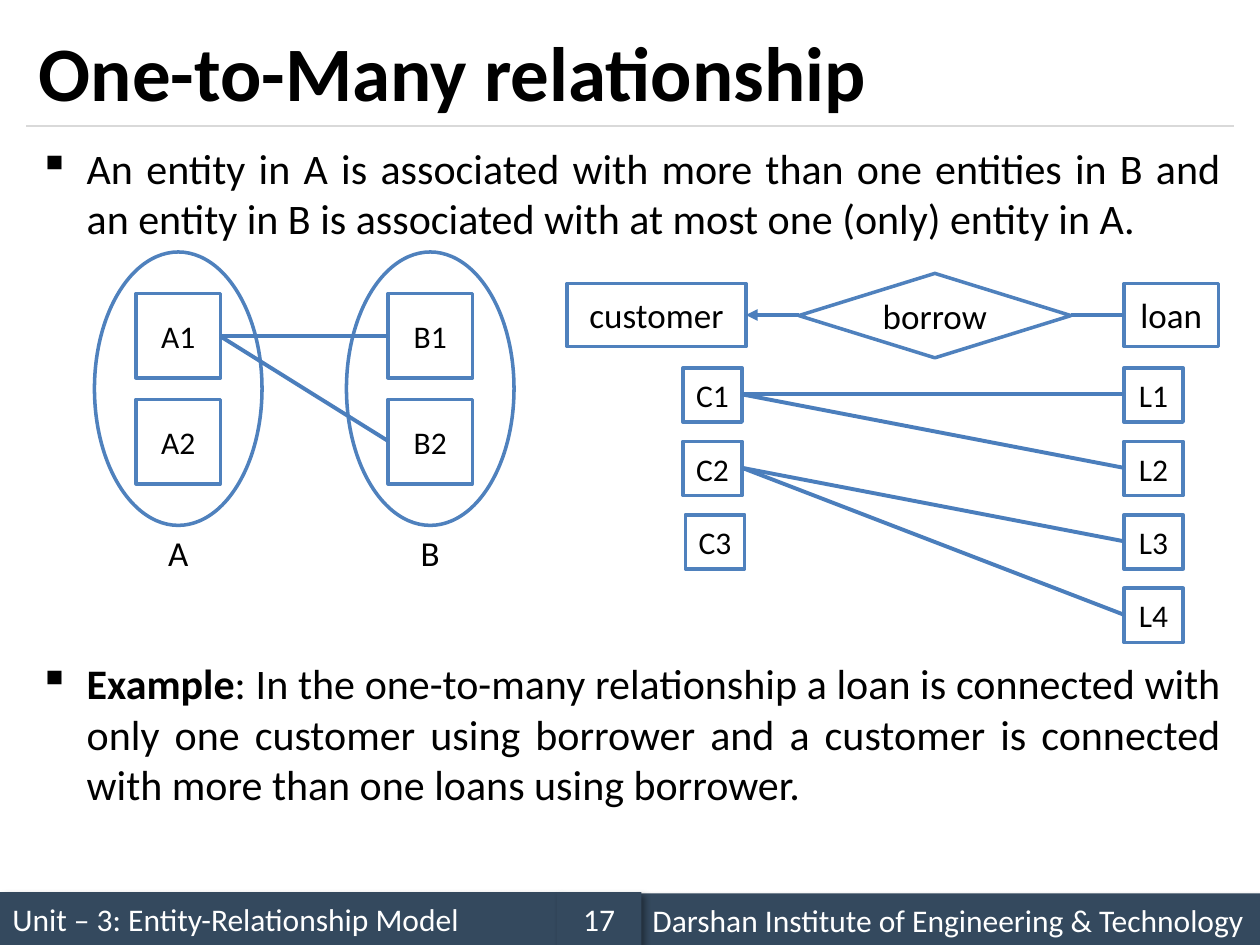
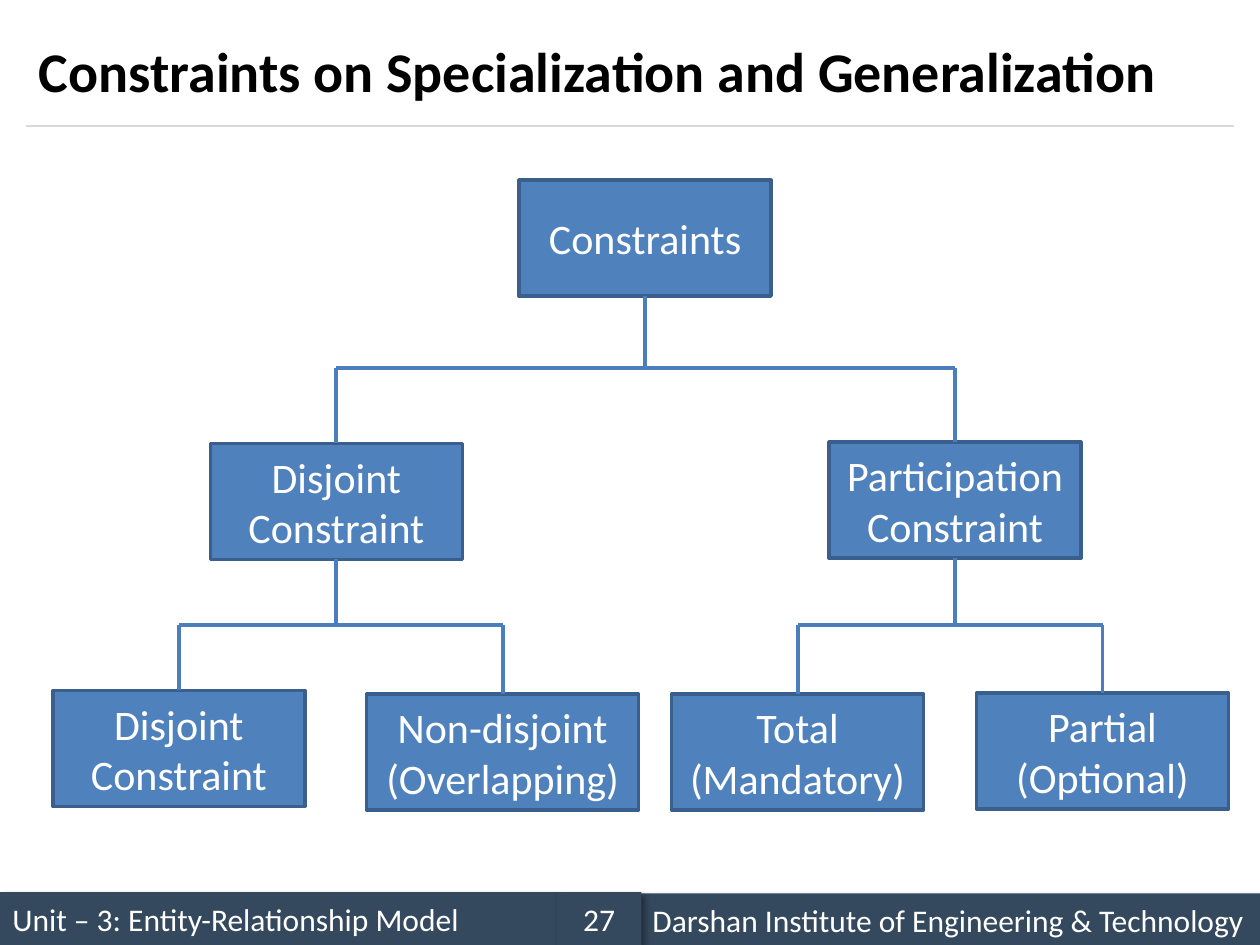
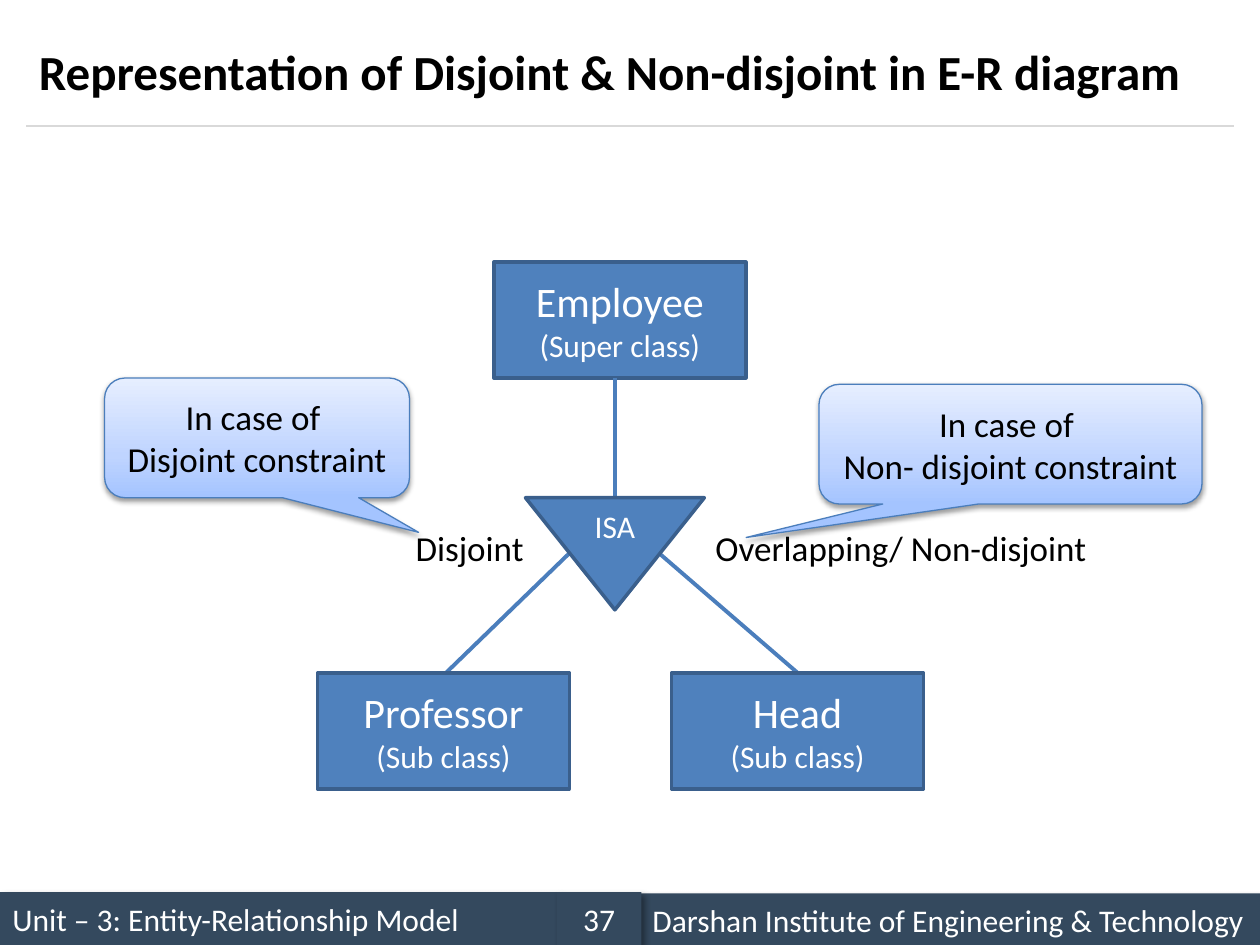
from lxml import etree
from pptx import Presentation
from pptx.dml.color import RGBColor
from pptx.enum import shapes, text
from pptx.oxml import ns
from pptx.util import Inches, Pt

FONT = "Calibri"
BLACK = RGBColor(0, 0, 0)
WHITE = RGBColor(255, 255, 255)
NAVY = RGBColor(0x34, 0x49, 0x5E)
RULE_GREY = RGBColor(0xD9, 0xD9, 0xD9)
BLUE = RGBColor(0x4F, 0x81, 0xBD)
BLUE_EDGE = RGBColor(0x3A, 0x5F, 0x8C)
BLUE_LINE = RGBColor(0x4B, 0x7E, 0xBC)
CALLOUT_STOPS = [
    (0, RGBColor(0xA4, 0xC4, 0xFF)),
    (35, RGBColor(0xBF, 0xD4, 0xFF)),
    (100, RGBColor(0xE6, 0xEE, 0xFF)),
]

SHAPE = shapes.MSO_SHAPE
LEFT, CENTER, JUSTIFY = text.PP_ALIGN.LEFT, text.PP_ALIGN.CENTER, text.PP_ALIGN.JUSTIFY
MIDDLE = text.MSO_ANCHOR.MIDDLE
MARGIN, CONTENT_WIDTH = 0.21, 9.58
NODE_WIDTH, NODE_HEIGHT = 2, 0.92


def child(parent, tag, **attributes):
    return etree.SubElement(parent, ns.qn(tag), attributes)


def add_color(parent, color, **attributes):
    return child(parent, "a:srgbClr", val=str(color), **attributes)


def write(frame, lines, color=BLACK, align=CENTER, bold=False):
    frame.word_wrap = True
    frame.text = "\n".join(line for line, size in lines)
    for para, (line, size) in zip(frame.paragraphs, lines):
        para.alignment = align
        for span in para.runs:
            span.font.name = FONT
            span.font.size = Pt(size)
            span.font.bold = bold
            span.font.color.rgb = color


def add_label(page, box, label, size, align=LEFT, bold=False):
    label_box = page.shapes.add_textbox(*map(Inches, box))
    write(label_box.text_frame, [(label, size)], align=align, bold=bold)
    return label_box


def add_block(page, kind, box, fill=None, edge=None, width=2):
    block = page.shapes.add_shape(kind, *map(Inches, box))
    block.shadow.inherit = False
    if fill is not None:
        block.fill.solid()
        block.fill.fore_color.rgb = fill
    if edge is None:
        block.line.fill.background()
    else:
        block.line.color.rgb = edge
        block.line.width = Pt(width)
    block.text_frame.vertical_anchor = MIDDLE
    return block


def add_shadow(block, opacity, blur, distance, angle):
    effects = block.element.spPr.find(ns.qn("a:effectLst"))
    shadow = child(effects, "a:outerShdw", blurRad=str(Pt(blur)), dist=str(Pt(distance)),
                   dir=str(angle * 60000), algn="t", rotWithShape="0")
    child(add_color(shadow, BLACK), "a:alpha", val=str(opacity * 1000))


def connect(page, start, end, color=BLUE_LINE, width=2.25, arrow=False):
    line = page.shapes.add_connector(shapes.MSO_CONNECTOR.STRAIGHT, *map(Inches, start + end))
    line.line.color.rgb = color
    line.line.width = Pt(width)
    properties = line.element.spPr
    if arrow:
        child(properties.find(ns.qn("a:ln")), "a:tailEnd", type="triangle")
    child(properties, "a:effectLst")


def add_footer(page, number):
    cells = [
        ((0, 7.08, 4.42, 0.42), "Unit – 3: Entity-Relationship Model", LEFT),
        ((5.08, 7.09, 4.92, 0.42), "Darshan Institute of Engineering & Technology", LEFT),
        ((4.42, 7.08, 0.67, 0.42), str(number), CENTER),
    ]
    for box, label, align in cells:
        cell = add_block(page, SHAPE.RECTANGLE, box, NAVY)
        add_shadow(cell, 40, 4, 3, 45)
        write(cell.text_frame, [(label, 18)], WHITE, align)


def start_page(deck, title, size, number):
    page = deck.slides.add_slide(deck.slide_layouts[6])
    add_footer(page, number)
    connect(page, (MARGIN, 1), (MARGIN + CONTENT_WIDTH, 1), RULE_GREY, 0.75)
    title_box = add_label(page, (MARGIN, 0.12, CONTENT_WIDTH, 0.88), title, size, bold=True)
    title_box.text_frame.vertical_anchor = MIDDLE
    return page


def add_bullet(page, top, height, sentence, lead=""):
    bullet_box = page.shapes.add_textbox(*map(Inches, (MARGIN, top, CONTENT_WIDTH, height)))
    frame = bullet_box.text_frame
    frame.word_wrap = True
    para = frame.paragraphs[0]
    para.alignment = JUSTIFY
    properties = para._p.get_or_add_pPr()
    properties.set("marL", str(Inches(0.38)))
    properties.set("indent", str(-Inches(0.38)))
    child(properties, "a:buChar", char="▪")
    for words, bold in ((lead, True), (sentence, False)):
        if words:
            span = para.add_run()
            span.text = words
            span.font.name = FONT
            span.font.size = Pt(24)
            span.font.bold = bold
            span.font.color.rgb = BLACK


def add_outline(page, box, label, size=18, kind=SHAPE.RECTANGLE):
    outline = add_block(page, kind, box, WHITE, BLUE)
    frame = outline.text_frame
    frame.margin_left = frame.margin_right = 0
    write(frame, [(label, size)], BLACK)


def add_entity_set(page, left, top, name):
    add_block(page, SHAPE.OVAL, (left, top, 1.33, 2.17), WHITE, BLUE)
    for row in range(2):
        add_outline(page, (left + 0.33, top + 0.33 + row * 0.84, 0.67, 0.67), f"{name}{row + 1}")
    add_label(page, (left, top + 2.17, 1.33, 0.44), name, 20, CENTER)


def add_set_mapping(page, left, top):
    add_entity_set(page, left, top, "A")
    add_entity_set(page, left + 2, top, "B")
    for row in range(2):
        connect(page, (left + 1, top + 0.67), (left + 2.33, top + 0.67 + row * 0.83))


def add_borrow_mapping(page, left, top):
    axis = top + 0.33
    loan_left = left + 4.42
    add_outline(page, (left, top + 0.08, 1.42, 0.5), "customer", 20)
    add_outline(page, (loan_left, top + 0.08, 0.75, 0.5), "loan", 20)
    add_outline(page, (left + 1.84, top, 2.16, 0.67), "borrow", 20, SHAPE.DIAMOND)
    connect(page, (left + 1.84, axis), (left + 1.42, axis), arrow=True)
    connect(page, (left + 4, axis), (loan_left, axis))

    def row_top(row):
        return top + 0.75 + row * 0.583

    for row, customer_left in enumerate((0.92, 0.92, 0.94)):
        add_outline(page, (left + customer_left, row_top(row), 0.47, 0.43), f"C{row + 1}")
    for row in range(4):
        add_outline(page, (loan_left, row_top(row), 0.47, 0.43), f"L{row + 1}")
        connect(page, (left + 1.39, row_top(row // 2) + 0.21), (loan_left, row_top(row) + 0.21))


def add_node(page, left, top, *lines, width=NODE_WIDTH):
    node = add_block(page, SHAPE.RECTANGLE, (left, top, width, NODE_HEIGHT), BLUE, BLUE_EDGE)
    write(node.text_frame, lines, WHITE)


def add_fork(page, stem, bar_y, drops):
    connect(page, stem, (stem[0], bar_y))
    connect(page, (drops[0][0], bar_y), (drops[-1][0], bar_y))
    for drop_x, drop_y in drops:
        connect(page, (drop_x, bar_y), (drop_x, drop_y))


def add_constraint_tree(page, left, top):
    nodes = [
        (3.7, 0, 2, "Constraints"),
        (1.25, 2.09, 2, "Disjoint Constraint"),
        (6.16, 2.08, 2, "Participation Constraint"),
        (0, 4.05, 2, "Disjoint Constraint"),
        (2.49, 4.08, 2.16, "Non-disjoint (Overlapping)"),
        (4.91, 4.08, 2, "Total (Mandatory)"),
        (7.33, 4.07, 2, "Partial (Optional)"),
    ]
    for x, y, width, label in nodes:
        add_node(page, left + x, top + y, (label, 24), width=width)

    def head(index):
        x, y, width, label = nodes[index]
        return left + x + width / 2, top + y

    for parent, bar_y, branches in ((0, 1.49, (1, 2)), (1, 3.53, (3, 4)), (2, 3.53, (5, 6))):
        stem_x, stem_y = head(parent)
        add_fork(page, (stem_x, stem_y + NODE_HEIGHT), top + bar_y, [head(i) for i in branches])


def add_callout(page, box, pointer, *lines):
    callout = add_block(page, SHAPE.ROUNDED_RECTANGULAR_CALLOUT, box, edge=BLUE_LINE, width=0.75)
    for index, value in enumerate(pointer):
        callout.adjustments[index] = value
    callout.fill.gradient()
    callout.fill.gradient_angle = 90
    stops = callout.element.spPr.find(".//" + ns.qn("a:gsLst"))
    for stop in list(stops):
        stops.remove(stop)
    for position, color in CALLOUT_STOPS:
        add_color(child(stops, "a:gs", pos=str(position * 1000)), color)
    add_shadow(callout, 38, 3.1, 1.6, 90)
    write(callout.text_frame, [(line, 20) for line in lines])


def add_isa_diagram(page, left, top):
    add_node(page, left + 1.4, top, ("Employee", 24), ("(Super class)", 18))
    connect(page, (left + 2.36, top + 0.92), (left + 2.36, top + 1.87))
    connect(page, (left + 2, top + 2.31), (left + 1.02, top + 3.26))
    connect(page, (left + 2.71, top + 2.31), (left + 3.81, top + 3.26))
    for x, label in ((0, "Professor"), (2.81, "Head")):
        add_node(page, left + x, top + 3.26, (label, 24), ("(Sub class)", 18))
    triangle = add_block(page, SHAPE.FLOWCHART_MERGE, (left + 1.65, top + 1.87, 1.42, 0.89),
                         BLUE, BLUE_EDGE)
    write(triangle.text_frame, [("ISA", 18)], WHITE)
    add_label(page, (left + 3.06, top + 2.05, 3.17, 0.44), "Overlapping/ Non-disjoint", 20)
    add_label(page, (left + 0.68, top + 2.05, 1.07, 0.44), "Disjoint", 20)


def build_one_to_many(deck):
    page = start_page(deck, "One-to-Many relationship", 44, 17)
    add_bullet(page, 1.08, 0.92, "An entity in A is associated with more than one entities in B "
               "and an entity in B is associated with at most one (only) entity in A.")
    add_set_mapping(page, 0.75, 2)
    add_borrow_mapping(page, 4.5, 2.17)
    add_bullet(page, 5.17, 1.32, ": In the one-to-many relationship a loan is connected with only "
               "one customer using borrower and a customer is connected with more than one loans "
               "using borrower.", "Example")


def build_constraints(deck):
    page = start_page(deck, "Constraints on Specialization and Generalization", 32, 27)
    add_constraint_tree(page, 0.42, 1.43)


def build_representation(deck):
    page = start_page(deck, "Representation of Disjoint & Non-disjoint in E-R diagram", 28, 37)
    add_isa_diagram(page, 2.52, 2.08)
    add_callout(page, (0.83, 3, 2.42, 0.95), (0.53, 0.79, 0.17),
                "In case of ", "Disjoint constraint")
    add_callout(page, (6.5, 3.05, 3.04, 0.95), (-0.69, 0.78, 0.17),
                "In case of ", "Non- disjoint constraint")


def main():
    deck = Presentation()
    deck.slide_width = Inches(10)
    deck.slide_height = Inches(7.5)
    build_one_to_many(deck)
    build_constraints(deck)
    build_representation(deck)
    deck.save("out.pptx")


if __name__ == "__main__":
    main()
